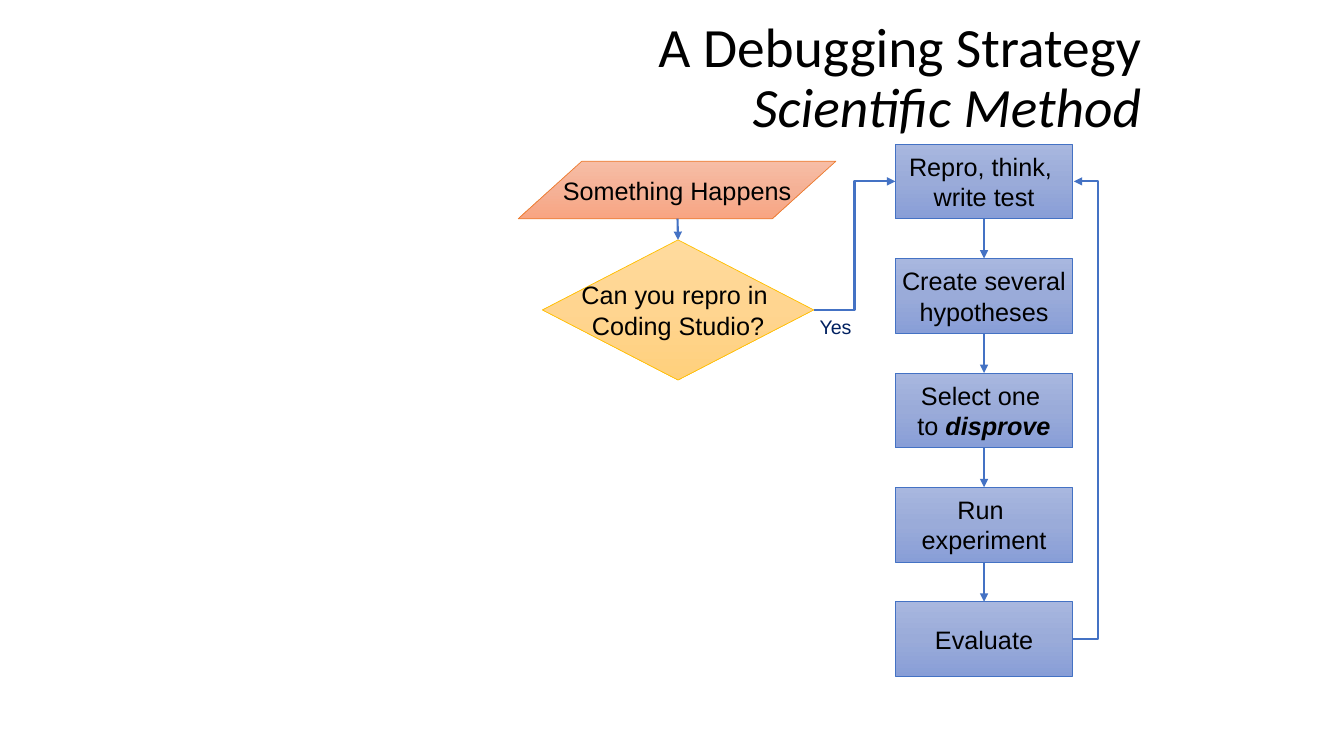
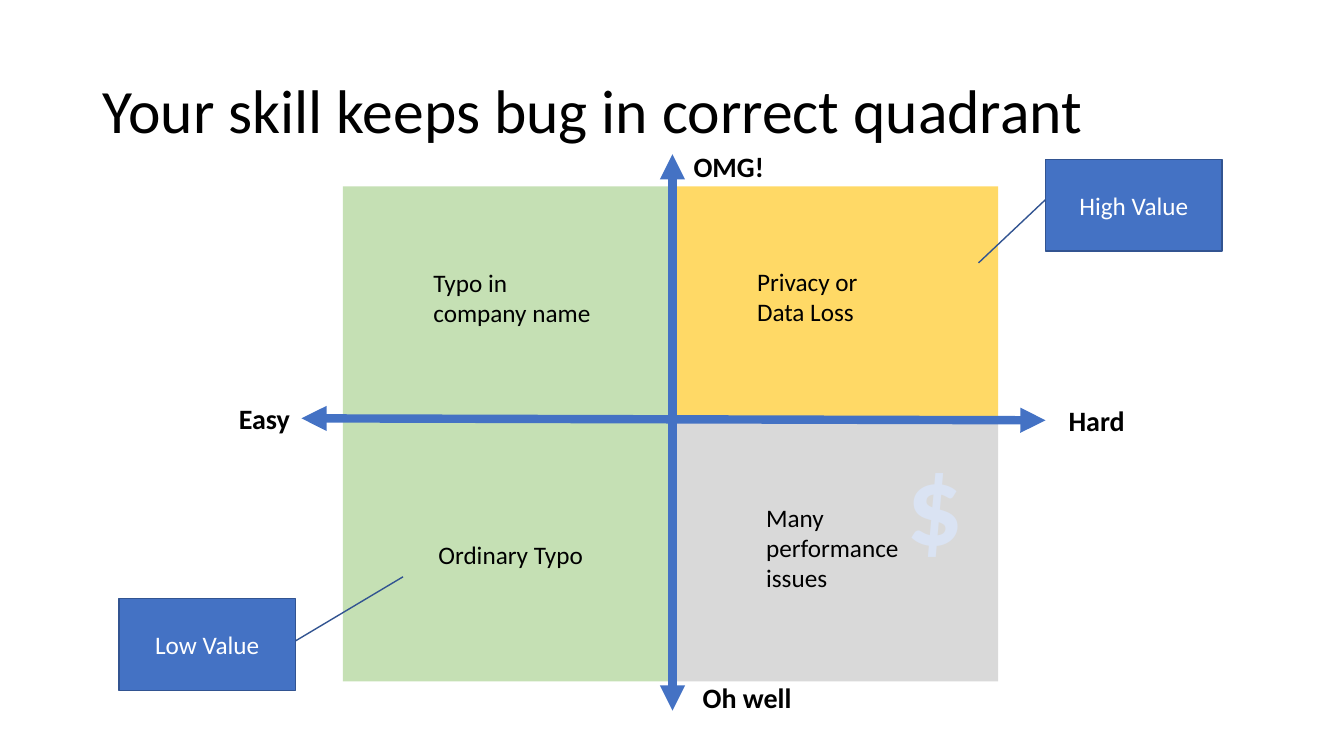
from copy import deepcopy
from dataclasses import dataclass
from typing import Any

from lxml.etree import SubElement
from pptx import Presentation
from pptx.dml.color import RGBColor
from pptx.enum.shapes import MSO_CONNECTOR, MSO_SHAPE
from pptx.enum.text import MSO_ANCHOR, MSO_AUTO_SIZE, PP_ALIGN
from pptx.oxml.ns import qn
from pptx.util import Inches, Pt


@dataclass(frozen=True)
class Theme:
    """Colours, fonts and type sizes of both slides."""
    title_font: str = "Calibri"
    flow_font: str = "Arial"
    black: str = "000000"
    white: str = "FFFFFF"
    navy: str = "002060"
    blue: str = "4472C4"
    blue_edge: str = "325491"
    orange: str = "ED7D31"
    gold: str = "FFC000"
    pale_blue: str = "DAE3F3"
    yellow: str = "FFD966"
    green: str = "C5E0B4"
    grey: str = "D9D9D9"
    blue_fade: tuple = ("A8B7DF", "9AABD9", "889ED7")
    orange_fade: tuple = ("F7BDA5", "F5B196", "F8A582")
    gold_fade: tuple = ("FFDB9E", "FFD590", "FFD07C")
    title_size: float = 44
    strategy_size: float = 39.6
    body_size: float = 18
    axis_size: float = 20
    branch_size: float = 14
    dollar_size: float = 80


THEME = Theme()


@dataclass(frozen=True)
class Box:
    left: float
    top: float
    width: float
    height: float

    def inches(self) -> list:
        return [Inches(v) for v in (self.left, self.top, self.width, self.height)]


@dataclass(frozen=True)
class Run:
    text: str
    bold: bool = False
    italic: bool = False


@dataclass(frozen=True)
class TextStyle:
    size: float = THEME.body_size
    color: str = THEME.black
    font: str = THEME.title_font
    align: Any = PP_ALIGN.LEFT
    spacing: float = 1.0


@dataclass(frozen=True)
class Label:
    box: Box
    run: Run
    style: TextStyle = TextStyle()
    wrap: bool = False


@dataclass(frozen=True)
class Callout:
    box: Box
    text: str
    pointer: tuple


FLOW_TEXT = TextStyle(font=THEME.flow_font, align=PP_ALIGN.CENTER)
AXIS_TEXT = TextStyle(THEME.axis_size)


# Shared drawing functions
def apply(target: Any, values: dict) -> None:
    for name, value in values.items():
        setattr(target, name, value)


def write(frame: Any, runs: list, style: TextStyle) -> None:
    paragraph = frame.paragraphs[0]
    apply(paragraph, {"alignment": style.align, "line_spacing": style.spacing})
    for part in runs:
        for index, line in enumerate(part.text.split("\n")):
            if index:
                paragraph.add_line_break()
            if line:
                run = paragraph.add_run()
                run.text = line
                apply(run.font, {"name": style.font, "size": Pt(style.size),
                                 "bold": part.bold, "italic": part.italic})
                run.font.color.rgb = RGBColor.from_string(style.color)


def add_titled_slide(deck: Any, box: Box, runs: list, style: TextStyle) -> Any:
    slide = deck.slides.add_slide(deck.slide_layouts[5])
    title = slide.shapes.title
    apply(title, dict(zip(("left", "top", "width", "height"), box.inches())))
    apply(title.text_frame, {"auto_size": MSO_AUTO_SIZE.NONE, "word_wrap": True,
                             "vertical_anchor": MSO_ANCHOR.MIDDLE})
    write(title.text_frame, runs, style)
    return slide


def add_block(slide: Any, preset: Any, box: Box, fill: Any,
              edge: str = "", edge_width: float = 0.5) -> Any:
    """Add a shape whose fill is one colour or a fade of three."""
    shape = slide.shapes.add_shape(preset, *box.inches())
    shape.shadow.inherit = False
    if isinstance(fill, str):
        shape.fill.solid()
        shape.fill.fore_color.rgb = RGBColor.from_string(fill)
    else:
        shape.fill.gradient()
        shape.fill.gradient_angle = 270
        stops = shape.element.spPr.find(qn("a:gradFill")).find(qn("a:gsLst"))
        stops.insert(1, deepcopy(stops[0]))
        for stop, color, position in zip(shape.fill.gradient_stops, fill, (0, 0.5, 1)):
            stop.color.rgb = RGBColor.from_string(color)
            stop.position = position
    if edge:
        shape.line.color.rgb = RGBColor.from_string(edge)
        shape.line.width = Pt(edge_width)
    else:
        shape.line.fill.background()
    return shape


def add_step(slide: Any, preset: Any, box: Box, fade: tuple, edge: str, runs: list) -> Any:
    step = add_block(slide, preset, box, fade, edge)
    apply(step.text_frame, {"word_wrap": False, "vertical_anchor": MSO_ANCHOR.MIDDLE})
    write(step.text_frame, runs, FLOW_TEXT)
    return step


def add_label(slide: Any, label: Label) -> None:
    frame = slide.shapes.add_textbox(*label.box.inches()).text_frame
    apply(frame, {"word_wrap": label.wrap, "auto_size": MSO_AUTO_SIZE.SHAPE_TO_FIT_TEXT})
    write(frame, [label.run], label.style)


def add_arrow(slide: Any, start: tuple, end: tuple, kind: Any = MSO_CONNECTOR.STRAIGHT,
              width: float = 1.5, ends: tuple = ("tailEnd",)) -> Any:
    arrow = slide.shapes.add_connector(kind, *[Inches(v) for v in start + end])
    arrow.line.color.rgb = RGBColor.from_string(THEME.blue)
    arrow.line.width = Pt(width)
    properties = arrow.element.spPr
    for tag in ends:
        SubElement(properties.find(qn("a:ln")), qn(f"a:{tag}"), type="triangle")
    SubElement(properties, qn("a:effectLst"))
    return arrow


def bend_at(connector: Any, ratio: float) -> None:
    """Place the elbow at a multiple of the connector's width."""
    geometry = connector.element.spPr.find(qn("a:prstGeom"))
    guides = geometry.find(qn("a:avLst"))
    if guides is None:
        guides = SubElement(geometry, qn("a:avLst"))
    SubElement(guides, qn("a:gd"), name="adj1", fmla=f"val {round(ratio * 100000)}")


# Slide 1: flow chart of the scientific method
def build_strategy(deck: Any) -> None:
    slide = add_titled_slide(
        deck, Box(6.25, 0.37, 5.17, 0.83),
        [Run("A Debugging Strategy\n"), Run("Scientific Method", italic=True)],
        TextStyle(THEME.strategy_size, align=PP_ALIGN.RIGHT, spacing=0.9))

    # Trigger and question
    add_step(slide, MSO_SHAPE.FLOWCHART_DATA, Box(5.14, 1.6, 3.15, 0.57),
             THEME.orange_fade, THEME.orange, [Run("Something Happens")])
    question = add_step(slide, MSO_SHAPE.FLOWCHART_DECISION, Box(5.38, 2.38, 2.69, 1.39),
                        THEME.gold_fade, THEME.gold,
                        [Run("Can you repro in \nCoding Studio?")])
    trigger_arrow = add_arrow(slide, (6.72, 2.17), (6.72, 2.38))
    trigger_arrow.end_connect(question, 0)

    # Column of method steps
    wording = [
        [Run("Repro, think, \nwrite test")],
        [Run("Create several\nhypotheses")],
        [Run("Select one \nto "), Run("disprove", bold=True, italic=True)],
        [Run("Run \nexperiment")],
        [Run("Evaluate")],
    ]
    left, width, height = 8.88, 1.76, 0.74
    first_top, last_top = 1.43, 5.97
    pitch = (last_top - first_top) / (len(wording) - 1)
    steps = [add_step(slide, MSO_SHAPE.FLOWCHART_PROCESS,
                      Box(left, first_top + i * pitch, width, height),
                      THEME.blue_fade, THEME.blue, runs)
             for i, runs in enumerate(wording)]
    for upper, lower in zip(steps, steps[1:]):
        step_arrow = add_arrow(slide, (0, 0), (0, 0))
        step_arrow.begin_connect(upper, 2)
        step_arrow.end_connect(lower, 0)

    # Yes branch and the way back to the first step
    yes_branch = add_arrow(slide, (8.07, 3.07), (left, 1.8), MSO_CONNECTOR.ELBOW)
    yes_branch.begin_connect(question, 3)
    yes_branch.end_connect(steps[0], 1)
    right, gap, reach = left + width, 0.01, 0.25
    retry_loop = add_arrow(slide, (right, last_top + height / 2),
                           (right + gap, first_top + height / 2), MSO_CONNECTOR.ELBOW)
    bend_at(retry_loop, reach / gap)
    add_label(slide, Label(Box(8.03, 3.08, 0.56, 0.34), Run("Yes"),
                           TextStyle(THEME.branch_size, THEME.navy, THEME.flow_font), True))


# Slide 2: quadrants of difficulty and impact
def build_quadrants(deck: Any) -> None:
    slide = add_titled_slide(deck, Box(0.92, 0.4, 11.5, 1.45),
                             [Run("Your skill keeps bug in correct quadrant")],
                             TextStyle(THEME.title_size, spacing=0.9))

    # Quadrant areas and axes
    areas = [
        (Box(6.67, 1.85, 3.23, 2.28), THEME.yellow),
        (Box(3.4, 1.85, 3.23, 4.91), THEME.green),
        (Box(6.67, 4.17, 3.23, 2.59), THEME.grey),
    ]
    for box, color in areas:
        add_block(slide, MSO_SHAPE.RECTANGLE, box, color)
    for start, end in [((6.67, 1.53), (6.67, 7.05)), ((10.37, 4.17), (2.99, 4.15))]:
        add_arrow(slide, start, end, width=6, ends=("headEnd", "tailEnd"))

    # Axis ends and examples
    labels = [
        Label(Box(2.27, 3.93, 0.71, 0.44), Run("Easy", bold=True), AXIS_TEXT),
        Label(Box(6.78, 1.43, 0.91, 0.44), Run("OMG!", bold=True), AXIS_TEXT),
        Label(Box(6.87, 6.7, 1.09, 0.44), Run("Oh well", bold=True), AXIS_TEXT),
        Label(Box(10.5, 3.95, 0.76, 0.44), Run("Hard", bold=True), AXIS_TEXT),
        Label(Box(4.2, 2.6, 1.76, 0.71), Run("Typo in company name"), wrap=True),
        Label(Box(4.25, 5.3, 1.65, 0.4), Run("Ordinary Typo")),
        Label(Box(7.5, 4.93, 1.92, 1.01), Run("Many performance issues"), wrap=True),
        Label(Box(8.89, 4.25, 0.77, 1.45), Run("$", bold=True),
              TextStyle(THEME.dollar_size, THEME.pale_blue, align=PP_ALIGN.CENTER)),
        Label(Box(7.41, 2.59, 1.92, 0.71), Run("Privacy or \nData Loss"), wrap=True),
    ]
    for label in labels:
        add_label(slide, label)

    # Value callouts
    callouts = [
        Callout(Box(10.37, 1.58, 1.75, 0.91), "High Value", (0.44, 0, 1.13, -0.38)),
        Callout(Box(1.18, 5.94, 1.75, 0.91), "Low Value", (0.46, 1, -0.24, 1.61)),
    ]
    for callout in callouts:
        shape = add_block(slide, MSO_SHAPE.LINE_CALLOUT_1, callout.box,
                          THEME.blue, THEME.blue_edge, 1)
        for index, value in enumerate(callout.pointer):
            shape.adjustments[index] = value
        apply(shape.text_frame, {"word_wrap": True, "vertical_anchor": MSO_ANCHOR.MIDDLE})
        write(shape.text_frame, [Run(callout.text)],
              TextStyle(color=THEME.white, align=PP_ALIGN.CENTER))


def main() -> None:
    deck = Presentation()
    apply(deck, {"slide_width": Inches(13.33), "slide_height": Inches(7.5)})
    build_strategy(deck)
    build_quadrants(deck)
    deck.save("out.pptx")


if __name__ == "__main__":
    main()
